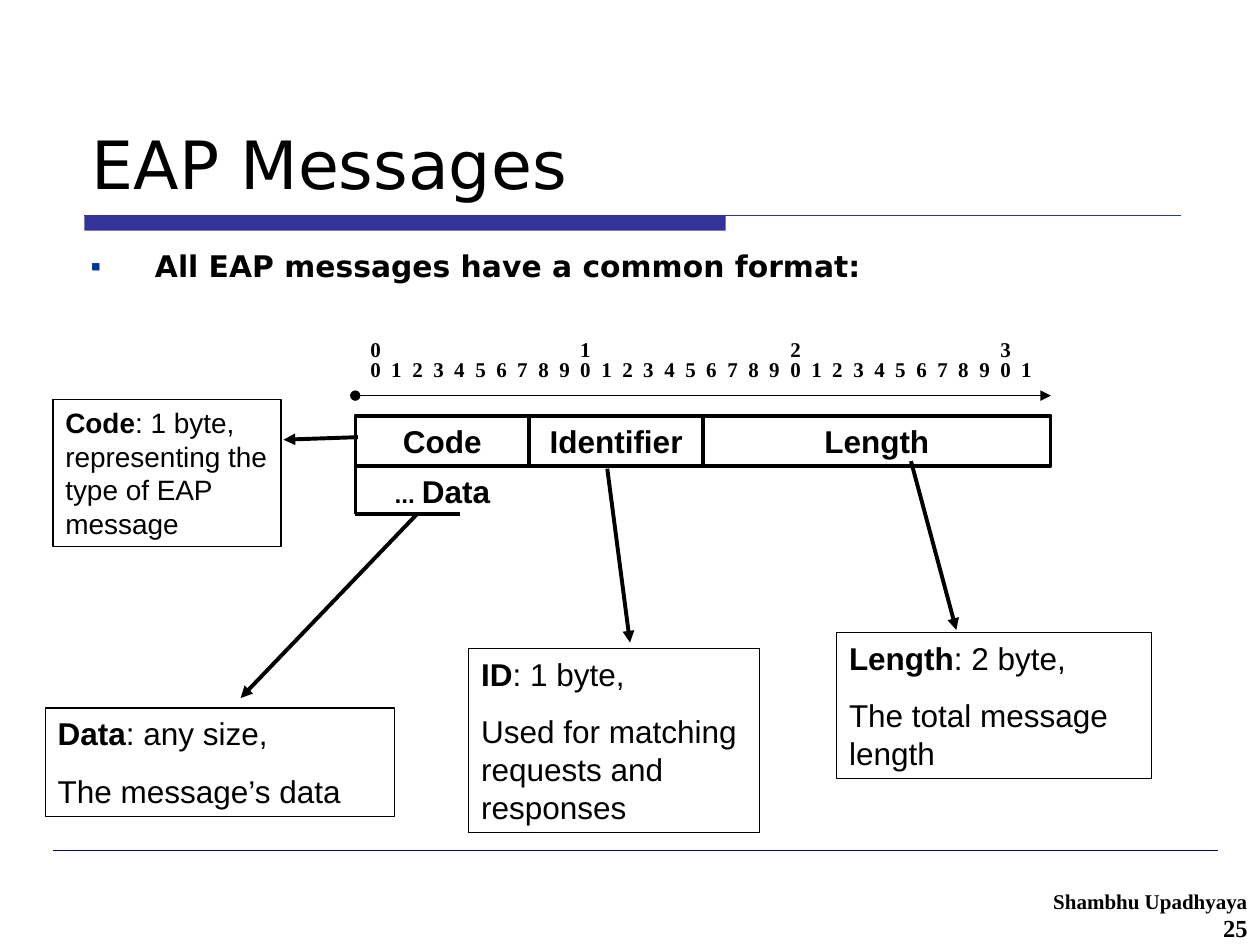
from lxml.etree import SubElement
from pptx import Presentation
from pptx.dml.color import RGBColor
from pptx.enum.shapes import MSO_CONNECTOR, MSO_SHAPE
from pptx.enum.text import MSO_ANCHOR, MSO_AUTO_SIZE, PP_ALIGN
from pptx.oxml.ns import qn
from pptx.util import Inches, Pt

# Content
TITLE = "EAP Messages"
BULLET = "All EAP messages have a common format:"
FOOTER = [("Shambhu Upadhyaya", 12), ("25", 14)]
BITS = [str(bit % 10) for bit in range(32)]
TENS = ["0", "1", "2", "3"]
FIELDS = [("Code", 1), ("Identifier", 1), ("Length", 2)]  # name, bytes
# term, rest of first line, second paragraph, size, box, arrow
CALLOUTS = [
    ("Code", ": 1 byte, representing the type of EAP message", None, 16,
     (0.42, 3.17, 1.81, 1.17), (2.84, 3.47, 2.25, 3.49)),
    ("Data", ": any size,", "The message’s data", 18,
     (0.36, 5.62, 2.77, 0.86), (3.31, 4.08, 1.91, 5.54)),
    ("ID", ": 1 byte,", "Used for matching requests and responses", 18,
     (3.72, 5.15, 2.31, 1.46), (4.82, 3.72, 5, 5.1)),
    ("Length", ": 2 byte,", "The total message length", 18,
     (6.64, 5.02, 2.5, 1.16), (7.23, 3.66, 7.59, 5)),
]

THEME = {
    "ink": RGBColor(0, 0, 0), "accent": RGBColor(0x33, 0x33, 0x99),
    "rule": RGBColor(0, 0, 0x80), "bullet": "003399",
    "heading": "DejaVu Sans", "label": "Arial", "serif": "Times New Roman",
    "title": 38, "body": 17, "field": 18, "dots": 14, "bit": 12,
}

# Packet geometry
PACKET_LEFT, PACKET_TOP, FIELD_HEIGHT = 2.82, 3.3, 0.4
BYTE_WIDTH = 1.38
BIT_PITCH = 1 / 6


def add_span(para, text, size, font, bold=False):
    span = para.add_run()
    span.text = text
    span.font.size = Pt(size)
    span.font.name = font
    span.font.bold = bold
    span.font.color.rgb = THEME["ink"]


def prepare(frame, anchor=MSO_ANCHOR.TOP):
    frame.word_wrap = True
    frame.auto_size = MSO_AUTO_SIZE.NONE
    frame.vertical_anchor = anchor
    return frame.paragraphs[0]


def add_text_box(page, *place):
    box = page.shapes.add_textbox(*map(Inches, place))
    return box, prepare(box.text_frame)


def add_outline_box(page, place, weight):
    box = page.shapes.add_shape(MSO_SHAPE.RECTANGLE, *map(Inches, place))
    box.shadow.inherit = False
    box.fill.background()
    box.line.color.rgb = THEME["ink"]
    box.line.width = Pt(weight)
    para = prepare(box.text_frame)
    para.alignment = PP_ALIGN.LEFT
    return box, para


def add_line(page, ends, weight, color=THEME["ink"], head=None, tail=None):
    line = page.shapes.add_connector(MSO_CONNECTOR.STRAIGHT, *map(Inches, ends))
    line.line.color.rgb = color
    line.line.width = Pt(weight)
    outline = line.line._get_or_add_ln()
    for tag, kind in (("a:headEnd", head), ("a:tailEnd", tail)):
        if kind:
            SubElement(outline, qn(tag), type=kind)
    SubElement(line._element.spPr, qn("a:effectLst"))


def add_digits(page, digits, top, pitch):
    _, para = add_text_box(page, 2.84, top, 5.52, 0.3)
    stops = SubElement(para._p.get_or_add_pPr(), qn("a:tabLst"))
    for step in range(1, len(digits)):
        SubElement(stops, qn("a:tab"), pos=str(Inches(step * pitch)), algn="l")
    add_span(para, "\t".join(digits), THEME["bit"], THEME["serif"], True)


def move(holder, *place):
    holder.left, holder.top, holder.width, holder.height = map(Inches, place)


deck = Presentation()
deck.slide_width, deck.slide_height = Inches(10), Inches(7.5)
page = deck.slides.add_slide(deck.slide_layouts[1])

# Title and its underline
title = page.shapes.title
move(title, 0.63, 0.33, 8.75, 1.33)
para = prepare(title.text_frame, MSO_ANCHOR.BOTTOM)
para.alignment = PP_ALIGN.LEFT
add_span(para, TITLE, THEME["title"], THEME["heading"])
band = page.shapes.add_shape(MSO_SHAPE.RECTANGLE, *map(Inches, (0.67, 1.71, 5.09, 0.12)))
band.shadow.inherit = False
band.fill.solid()
band.fill.fore_color.rgb = THEME["accent"]
band.line.fill.background()
add_line(page, (0.67, 1.71, 9.37, 1.71), 0.75, THEME["accent"])

# Bulleted statement
body = page.placeholders[1]
move(body, 0.62, 1.92, 8.75, 4.67)
para = prepare(body.text_frame)
para.alignment = PP_ALIGN.LEFT
para.space_before = Pt(0)
props = para._p.get_or_add_pPr()
props.set("marL", str(Inches(0.51)))
props.set("indent", str(Inches(-0.51)))
SubElement(SubElement(props, qn("a:buClr")), qn("a:srgbClr"), val=THEME["bullet"])
SubElement(props, qn("a:buChar"), char="▪")
add_span(para, BULLET, THEME["body"], THEME["heading"], True)

# Bit scale
add_digits(page, TENS, 2.62, 10 * BIT_PITCH)
add_digits(page, BITS, 2.78, BIT_PITCH)
add_line(page, (PACKET_LEFT, 3.14, 8.34, 3.14), 0.75, head="oval", tail="triangle")

# Packet fields
left = PACKET_LEFT
for name, size in FIELDS:
    width = size * BYTE_WIDTH
    _, para = add_outline_box(page, (left, PACKET_TOP, width, FIELD_HEIGHT), 2)
    para.alignment = PP_ALIGN.CENTER
    add_span(para, name, THEME["field"], THEME["label"], True)
    left += width

# Open-ended data field
data_top = PACKET_TOP + FIELD_HEIGHT
_, para = add_text_box(page, PACKET_LEFT, data_top, BYTE_WIDTH, FIELD_HEIGHT)
para.alignment = PP_ALIGN.CENTER
add_span(para, "... ", THEME["dots"], THEME["label"], True)
add_span(para, "Data", THEME["field"], THEME["label"], True)
add_line(page, (PACKET_LEFT, data_top, PACKET_LEFT, 4.08), 2)
add_line(page, (PACKET_LEFT, 4.08, 3.65, 4.08), 2)

# Callouts
for term, rest, detail, size, place, arrow in CALLOUTS:
    add_line(page, arrow, 2.25, tail="triangle")
    box, para = add_outline_box(page, place, 0.75)
    add_span(para, term, size, THEME["label"], True)
    add_span(para, rest, size, THEME["label"])
    if detail:
        para = box.text_frame.add_paragraph()
        para.alignment = PP_ALIGN.LEFT
        para.space_before = Pt(11.2)
        add_span(para, detail, size, THEME["label"])

# Footer
add_line(page, (0.42, 6.75, 9.67, 6.75), 0.25, THEME["rule"])
box, para = add_text_box(page, 7.75, 7, 2.25, 0.5)
for index, (text, size) in enumerate(FOOTER):
    if index:
        para = box.text_frame.add_paragraph()
    para.alignment = PP_ALIGN.RIGHT
    add_span(para, text, size, THEME["serif"], True)

deck.save("out.pptx")
